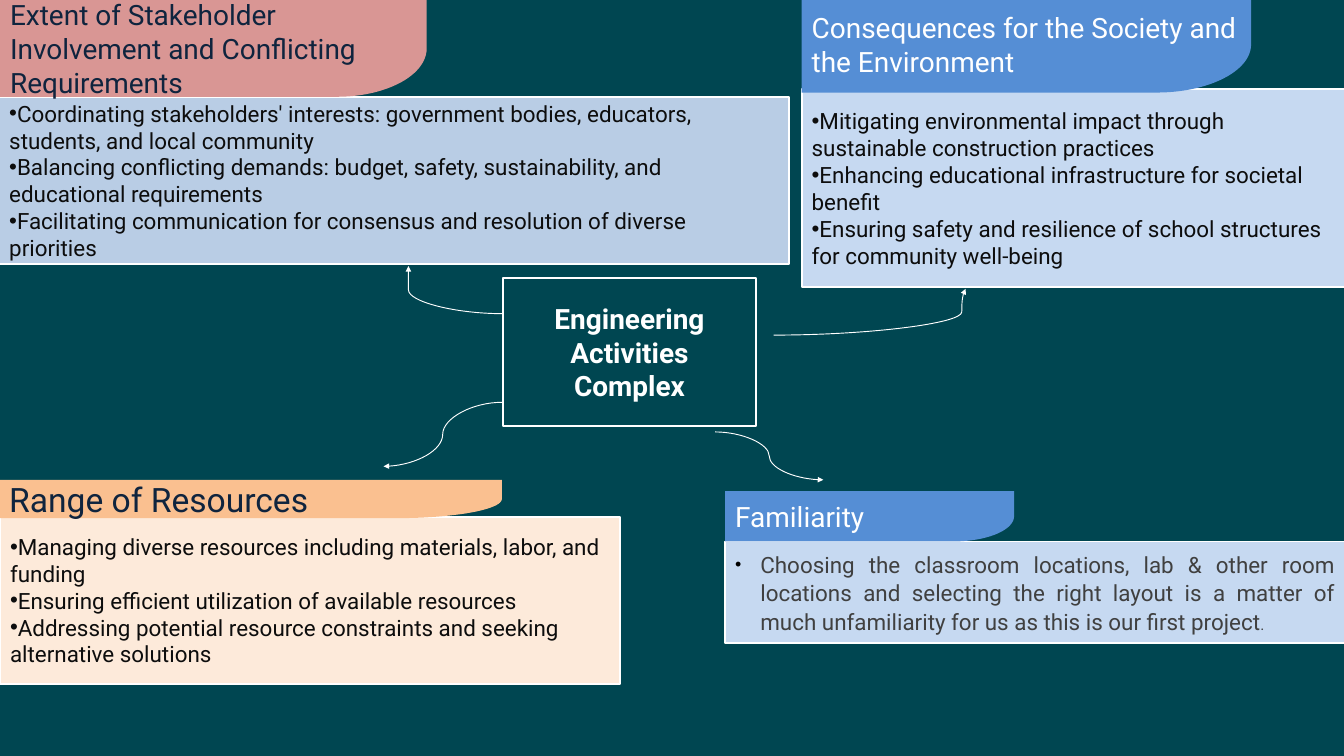
from dataclasses import dataclass
from math import cos, pi, sin

from lxml.etree import SubElement
from pptx import Presentation
from pptx.dml.color import RGBColor
from pptx.enum.shapes import MSO_CONNECTOR, MSO_SHAPE
from pptx.enum.text import MSO_ANCHOR, PP_ALIGN
from pptx.oxml.ns import qn
from pptx.util import Cm, Pt

COLOURS = {
    "background": "004651", "white": "FFFFFF", "black": "000000",
    "navy": "0F243E", "ink": "0D0D0D", "grey": "404040",
    "rose": "D99694", "steel": "B9CDE5", "orange": "FAC090",
    "cream": "FDEADA", "blue": "558ED5", "sky": "C6D9F1",
}
FONT = "Roboto"
CORNER_WIDTH, CORNER_HEIGHT = 0.21, 0.5
CORNER_STEPS = 24


@dataclass
class Area:
    """A rectangle in centimetres."""
    left: float
    top: float
    width: float
    height: float


@dataclass
class Card:
    title: str
    tab: Area
    tab_colour: str
    title_colour: str
    title_size: float
    body: Area
    body_colour: str
    points: list[str]


@dataclass
class Arrow:
    start: tuple[float, float]
    end: tuple[float, float]
    bend: float = 0.5


CARDS = [
    Card("Extent of Stakeholder Involvement and Conflicting Requirements",
         Area(0, 0, 16.13, 3.66), "rose", "navy", 30,
         Area(-0.03, 3.66, 29.85, 6.32), "steel",
         ["Coordinating stakeholders' interests: government bodies, educators, "
          "students, and local community",
          "Balancing conflicting demands: budget, safety, sustainability, and "
          "educational requirements",
          "Facilitating communication for consensus and resolution of diverse priorities"]),
    Card("Consequences for the Society and the Environment",
         Area(30.3, -0.13, 16.99, 3.63), "blue", "white", 30,
         Area(30.3, 3.38, 20.52, 7.47), "sky",
         ["Mitigating environmental impact through sustainable construction practices",
          "Enhancing educational infrastructure for societal benefit",
          "Ensuring safety and resilience of school structures for community well-being"]),
    Card("Range of Resources",
         Area(-0.03, 18.14, 19, 1.45), "orange", "navy", 36,
         Area(0, 19.53, 23.42, 6.32), "cream",
         ["Managing diverse resources including materials, labor, and funding",
          "Ensuring efficient utilization of available resources",
          "Addressing potential resource constraints and seeking alternative solutions"]),
    Card("Familiarity",
         Area(27.41, 18.57, 10.92, 1.9), "blue", "white", 30,
         Area(27.41, 20.47, 23.42, 3.84), "sky", []),
]
FAMILIARITY = ("Choosing the classroom locations, lab & other room locations and "
               "selecting the right layout is a matter of much unfamiliarity for us "
               "as this is our first project")
HUB = Area(19.02, 10.52, 9.55, 5.59)
ARROWS = [
    Arrow((18.97, 15.21), (14.5, 17.63)),
    Arrow((29.24, 12.67), (36.5, 10.92), 0.98),
    Arrow((19, 11.86), (15.44, 10.06), 1),
    Arrow((27.03, 16.33), (31.12, 18.14)),
]


def colour(name: str) -> RGBColor:
    return RGBColor.from_string(COLOURS[name])


def add_bullet(paragraph, hanging: float = 0, bullet_colour: str = "", percent: int = 100) -> None:
    properties = paragraph._p.get_or_add_pPr()
    properties.set("marL", str(Cm(hanging)))
    properties.set("indent", str(-Cm(hanging)))
    if bullet_colour:
        holder = SubElement(properties, qn("a:buClr"))
        SubElement(holder, qn("a:srgbClr"), val=COLOURS[bullet_colour])
    SubElement(properties, qn("a:buSzPct"), val=str(percent * 1000))
    SubElement(properties, qn("a:buFont"), typeface="Arial")
    SubElement(properties, qn("a:buChar"), char="•")


def add_span(paragraph, text: str, *, size: float, ink: str, bold: bool = False) -> None:
    span = paragraph.add_run()
    span.text = text
    span.font.name = FONT
    span.font.size = Pt(size)
    span.font.bold = bold
    span.font.color.rgb = colour(ink)


def set_margins(box, side: float, edge: float) -> None:
    frame = box.text_frame
    frame.word_wrap = True
    frame.vertical_anchor = MSO_ANCHOR.MIDDLE
    frame.margin_left = frame.margin_right = Cm(side)
    frame.margin_top = frame.margin_bottom = Cm(edge)


def write(box, lines: list[str], *, size: float, ink: str, bold: bool = False,
          bullets: bool = False, align=PP_ALIGN.LEFT) -> None:
    frame = box.text_frame
    for index, line in enumerate(lines):
        paragraph = frame.add_paragraph() if index else frame.paragraphs[0]
        if bullets:
            add_bullet(paragraph)
        paragraph.alignment = align
        add_span(paragraph, line, size=size, ink=ink, bold=bold)


def add_box(page, area: Area, fill: str = ""):
    box = page.shapes.add_shape(MSO_SHAPE.RECTANGLE, Cm(area.left), Cm(area.top),
                                Cm(area.width), Cm(area.height))
    box.shadow.inherit = False
    if fill:
        box.fill.solid()
        box.fill.fore_color.rgb = colour(fill)
    else:
        box.fill.background()
    box.line.color.rgb = colour("white")
    box.line.width = Pt(2)
    return box


def add_tab(page, area: Area, fill: str):
    """Draw a rectangle whose lower right corner is a quarter ellipse."""
    left, top = Cm(area.left), Cm(area.top)
    right, bottom = left + Cm(area.width), top + Cm(area.height)
    across, down = CORNER_WIDTH * Cm(area.width), CORNER_HEIGHT * Cm(area.height)
    angles = [pi / 2 * step / CORNER_STEPS for step in range(CORNER_STEPS + 1)]
    corner = [(right - across + across * cos(angle), bottom - down + down * sin(angle))
              for angle in angles]
    outline = page.shapes.build_freeform(left, top)
    outline.add_line_segments([(right, top), *corner, (left, bottom)], close=True)
    tab = outline.convert_to_shape()
    tab.shadow.inherit = False
    tab.fill.solid()
    tab.fill.fore_color.rgb = colour(fill)
    tab.line.fill.background()
    return tab


def add_card(page, card: Card):
    body = add_box(page, card.body, card.body_colour)
    tab = add_tab(page, card.tab, card.tab_colour)
    for box in (body, tab):
        set_margins(box, 0.38, 0.19)
    write(tab, [card.title], size=card.title_size, ink=card.title_colour)
    write(body, card.points, size=24, ink="ink", bullets=True)
    return body


def write_familiarity(body) -> None:
    paragraph = body.text_frame.paragraphs[0]
    add_bullet(paragraph, hanging=0.95, bullet_colour="black", percent=80)
    paragraph.alignment = PP_ALIGN.JUSTIFY
    paragraph.line_spacing = 1.06
    paragraph.space_after = Pt(12)
    add_span(paragraph, FAMILIARITY, size=24, ink="grey")
    add_span(paragraph, ".", size=16.5, ink="grey")


def add_arrow(page, arrow: Arrow) -> None:
    ends = [Cm(value) for value in (*arrow.start, *arrow.end)]
    connector = page.shapes.add_connector(MSO_CONNECTOR.CURVE, *ends)
    connector.line.color.rgb = colour("white")
    connector.line.width = Pt(1)
    SubElement(connector.get_or_add_ln(), qn("a:tailEnd"), type="triangle")
    properties = connector.element.spPr
    SubElement(properties, qn("a:effectLst"))
    guides = properties.find(qn("a:prstGeom")).find(qn("a:avLst"))
    SubElement(guides, qn("a:gd"), name="adj1", fmla=f"val {round(arrow.bend * 100000)}")


def main() -> None:
    deck = Presentation()
    deck.slide_width, deck.slide_height = Cm(50.8), Cm(28.58)
    page = deck.slides.add_slide(deck.slide_layouts[6])
    page.background.fill.solid()
    page.background.fill.fore_color.rgb = colour("background")
    bodies = [add_card(page, card) for card in CARDS]
    write_familiarity(bodies[-1])
    hub = add_box(page, HUB)
    set_margins(hub, 0.25, 0.13)
    write(hub, ["Engineering", "Activities", "Complex"], size=30, ink="white",
          bold=True, align=PP_ALIGN.CENTER)
    for arrow in ARROWS:
        add_arrow(page, arrow)
    deck.save("out.pptx")


if __name__ == "__main__":
    main()
